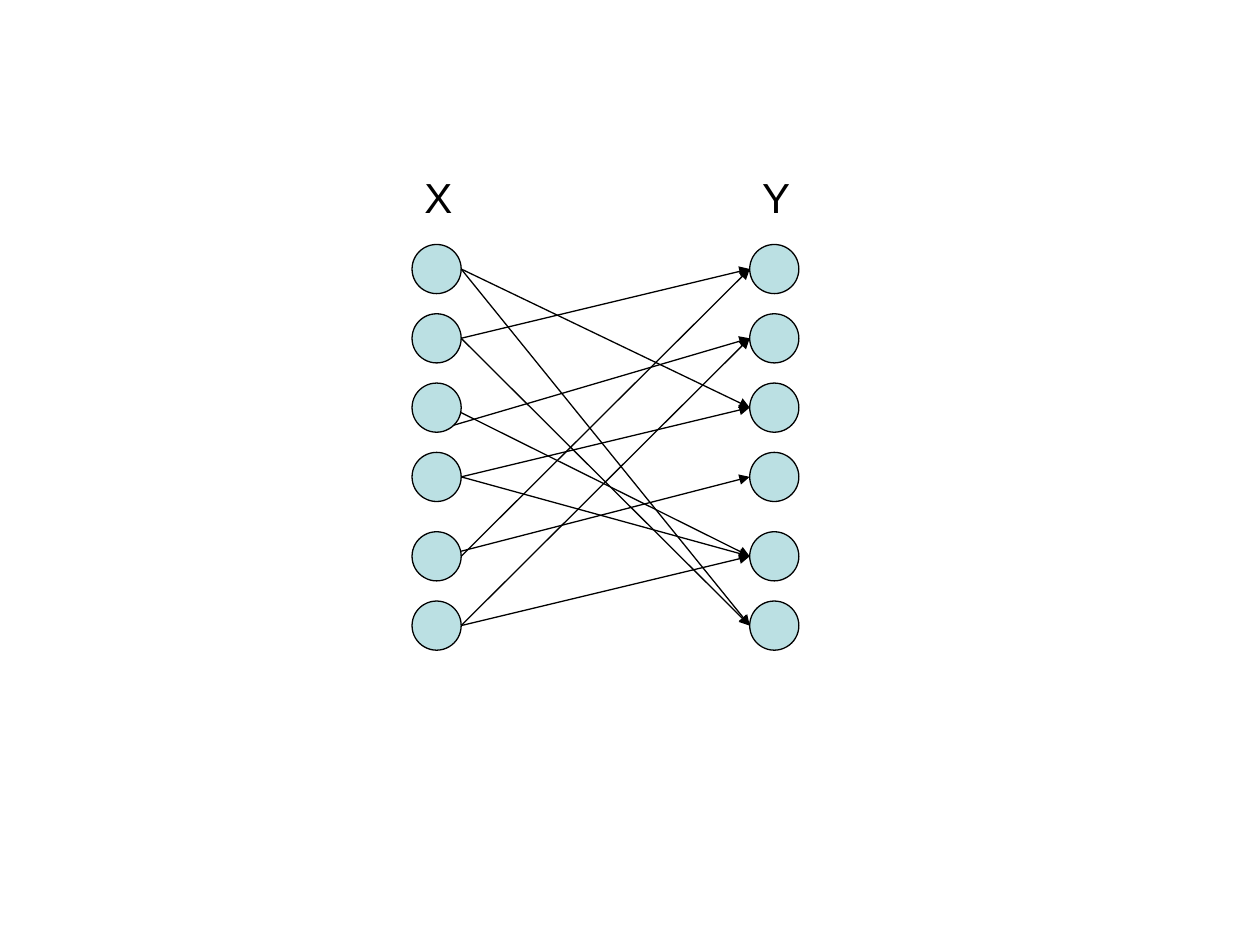
from dataclasses import dataclass

from lxml.etree import SubElement
from pptx import Presentation
from pptx.dml.color import RGBColor
from pptx.enum.shapes import MSO_CONNECTOR, MSO_SHAPE
from pptx.enum.text import MSO_AUTO_SIZE
from pptx.oxml.ns import qn
from pptx.util import Inches, Pt


@dataclass(frozen=True)
class Theme:
    node_fill: RGBColor = RGBColor(0xBB, 0xE0, 0xE3)
    ink: RGBColor = RGBColor(0, 0, 0)
    line_width: Pt = Pt(0.75)
    font: str = "Arial"
    label_size: Pt = Pt(24)


THEME = Theme()
DIAMETER = 0.39
X_LEFT, Y_LEFT = 3.27, 5.95
FIRST_TOP, ROW_STEP, LOWER_GAP = 1.94, 0.55, 0.08
ROW_TOPS = [FIRST_TOP + row * ROW_STEP + (LOWER_GAP if row > 3 else 0)
            for row in range(6)]
LABEL_TOP, LABEL_WIDTH, LABEL_HEIGHT = 1.31, 0.42, 0.5

# (row in X, row in Y, start offset from the right edge of the X node)
EDGES = [
    (0, 2, (0, 0)),
    (1, 0, (0, 0)),
    (2, 1, (-0.06, 0.14)),
    (3, 2, (0, 0)),
    (4, 0, (0, 0)),
    (5, 1, (0, 0)),
    (4, 3, (0, -0.04)),
    (1, 5, (0, 0)),
    (3, 4, (0, 0)),
    (2, 4, (0, 0.04)),
    (5, 4, (0, 0)),
    (0, 5, (0, 0)),
]


def style_line(line):
    line.color.rgb = THEME.ink
    line.width = THEME.line_width


def add_node(shapes, left, top):
    node = shapes.add_shape(MSO_SHAPE.OVAL, Inches(left), Inches(top),
                            Inches(DIAMETER), Inches(DIAMETER))
    node.shadow.inherit = False
    node.fill.solid()
    node.fill.fore_color.rgb = THEME.node_fill
    style_line(node.line)


def add_edge(shapes, x_row, y_row, offset):
    """Draw an arrow from a node of X to a node of Y."""
    dx, dy = offset
    radius = DIAMETER / 2
    edge = shapes.add_connector(
        MSO_CONNECTOR.STRAIGHT,
        Inches(X_LEFT + DIAMETER + dx), Inches(ROW_TOPS[x_row] + radius + dy),
        Inches(Y_LEFT), Inches(ROW_TOPS[y_row] + radius))
    style_line(edge.line)
    SubElement(edge.line._get_or_add_ln(), qn("a:tailEnd"), type="triangle")
    SubElement(edge._element.spPr, qn("a:effectLst"))


def add_label(shapes, text, left):
    label = shapes.add_textbox(Inches(left), Inches(LABEL_TOP),
                               Inches(LABEL_WIDTH), Inches(LABEL_HEIGHT))
    frame = label.text_frame
    frame.word_wrap = False
    frame.auto_size = MSO_AUTO_SIZE.SHAPE_TO_FIT_TEXT
    paragraph = frame.paragraphs[0]
    paragraph.text = text
    paragraph.font.name = THEME.font
    paragraph.font.size = THEME.label_size
    paragraph.font.color.rgb = THEME.ink


def main():
    presentation = Presentation()
    presentation.slide_width = Inches(10)
    presentation.slide_height = Inches(7.5)
    slide = presentation.slides.add_slide(presentation.slide_layouts[6])
    graph = slide.shapes.add_group_shape().shapes

    for left in (X_LEFT, Y_LEFT):
        for top in ROW_TOPS:
            add_node(graph, left, top)
    for x_row, y_row, offset in EDGES:
        add_edge(graph, x_row, y_row, offset)
    for text, left in (("X", X_LEFT), ("Y", Y_LEFT)):
        add_label(graph, text, left)

    presentation.save("out.pptx")


if __name__ == "__main__":
    main()
